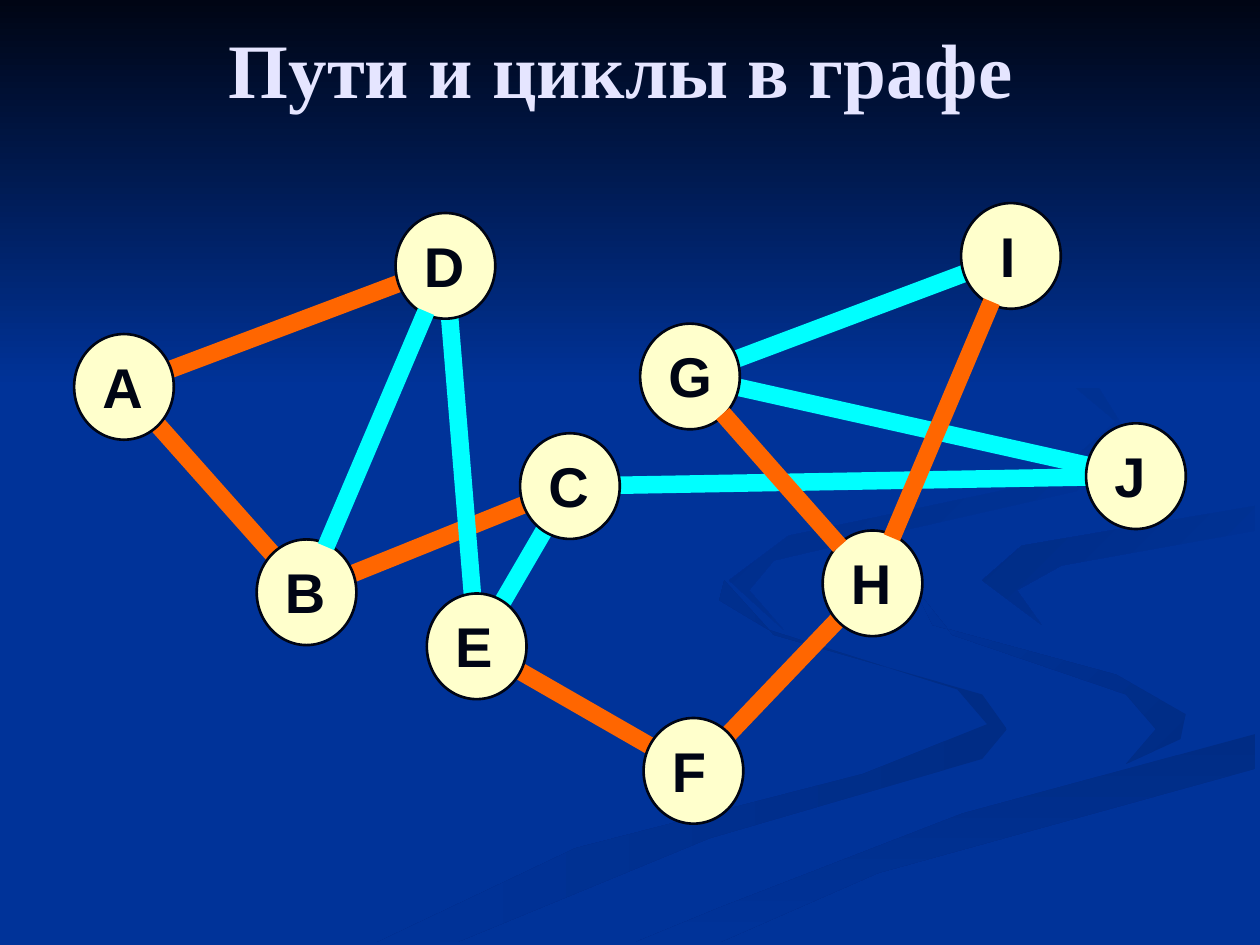
from math import dist

from lxml import etree
from pptx import Presentation
from pptx.dml.color import RGBColor
from pptx.enum.shapes import MSO_CONNECTOR, MSO_SHAPE
from pptx.enum.text import MSO_ANCHOR, PP_ALIGN
from pptx.oxml.ns import qn
from pptx.util import Cm, Pt

STRAIGHT = MSO_CONNECTOR.STRAIGHT
OVAL = MSO_SHAPE.OVAL
RECTANGLE = MSO_SHAPE.RECTANGLE
MIDDLE = MSO_ANCHOR.MIDDLE
TOP = MSO_ANCHOR.TOP
CENTER = PP_ALIGN.CENTER
LEFT = PP_ALIGN.LEFT

COLORS = {
    "background": "003399",
    "shade": "002C85",
    "night": "000514",
    "title": "E5E5FF",
    "node": "FFFFCC",
    "path": "FF6600",
    "other": "00FFFF",
}

NODE_WIDTH, NODE_HEIGHT = 2.01, 2.13

# Node centres in cm
NODES = {
    "A": (2.5, 7.8), "B": (6.18, 11.94), "D": (8.98, 5.36),
    "C": (11.49, 9.8), "E": (9.61, 13.03), "G": (13.91, 7.59),
    "H": (17.59, 11.76), "I": (20.38, 5.16), "J": (22.9, 9.6),
    "F": (13.98, 15.54),
}

# Edges as node pairs, by colour
EDGES_BEHIND = {"path": "AD AB FH EF BC", "other": "GI CJ DE CE GJ"}
EDGES_IN_FRONT = {"other": "BD", "path": "GH HI"}

# Background swirls: first colour, last colour, angle, outline in mm
SWIRLS = [
    ("shade", "background", 180, [
        (198, 140), (156, 128), (146, 117), (145, 121), (155, 127),
        (193, 139), (199, 146), (174, 156), (116, 171), (76, 190),
        (92, 190), (143, 169), (198, 153), (203, 147)]),
    ("shade", "background", 225, [
        (239, 144), (225, 136), (188, 126), (184, 118), (192, 128),
        (227, 140), (233, 147), (227, 154), (238, 149)]),
    ("shade", "background", 90, [
        (128, 190), (145, 190), (177, 176), (253, 155), (253, 148),
        (194, 164), (145, 183)]),
    ("background", "shade", 225, [
        (198, 117), (210, 126), (205, 119), (214, 114), (253, 107),
        (253, 102), (206, 110)]),
    ("background", "shade", 225, [
        (173, 109), (217, 99), (227, 87), (217, 71), (194, 59),
        (225, 85), (211, 97), (159, 108), (147, 117), (158, 127),
        (151, 119), (156, 113)]),
]


def rgb(name):
    return RGBColor.from_string(COLORS[name])


def fill_gradient(shape, first, last, clockwise_angle):
    shape.shadow.inherit = False
    shape.line.fill.background()
    shape.fill.gradient()
    shape.fill.gradient_angle = 360 - clockwise_angle
    for stop, color in zip(shape.fill.gradient_stops, (first, last)):
        stop.color.rgb = rgb(color)


def add_swirl(slide, first, last, angle, points):
    builder = slide.shapes.build_freeform(*points[0], scale=Cm(0.1))
    builder.add_line_segments(points[1:], close=True)
    fill_gradient(builder.convert_to_shape(), first, last, angle)


def add_text(slide, text, box, size, font_name, color, alignment, anchor):
    text_box = slide.shapes.add_textbox(*(Cm(value) for value in box))
    text_frame = text_box.text_frame
    text_frame.word_wrap = True
    text_frame.vertical_anchor = anchor
    text_frame.text = text
    paragraph = text_frame.paragraphs[0]
    paragraph.alignment = alignment
    font = paragraph.runs[0].font
    font.name, font.size, font.bold = font_name, Pt(size), True
    font.color.rgb = rgb(color)
    return paragraph


def point_towards(start, end, distance):
    share = distance / dist(start, end)
    return [Cm(a + (b - a) * share) for a, b in zip(start, end)]


def add_edges(slide, edges, inset):
    for color, pairs in edges.items():
        for pair in pairs.split():
            start, end = (NODES[letter] for letter in pair)
            connector = slide.shapes.add_connector(
                STRAIGHT, *point_towards(start, end, inset),
                *point_towards(end, start, inset))
            connector.line.color.rgb = rgb(color)
            connector.line.width = Pt(10)
            etree.SubElement(connector._element.spPr, qn("a:effectLst"))


def add_node(slide, letter, center_x, center_y):
    left, top = center_x - NODE_WIDTH / 2, center_y - NODE_HEIGHT / 2
    node = slide.shapes.add_shape(
        OVAL, Cm(left), Cm(top), Cm(NODE_WIDTH), Cm(NODE_HEIGHT))
    node.shadow.inherit = False
    node.fill.solid()
    node.fill.fore_color.rgb = rgb("node")
    node.line.color.rgb = rgb("night")
    node.line.width = Pt(1.5)
    # The narrow letter I sits further right
    indent = 0.53 if letter == "I" else 0.32
    box = (left + indent, top + 0.24, NODE_WIDTH, 1.63)
    paragraph = add_text(slide, letter, box, 32, "Arial", "night", LEFT, TOP)
    paragraph.space_before = Pt(3.6)


def main():
    presentation = Presentation()
    presentation.slide_width, presentation.slide_height = Cm(25.4), Cm(19.05)
    slide = presentation.slides.add_slide(presentation.slide_layouts[6])

    # Background
    slide.background.fill.solid()
    slide.background.fill.fore_color.rgb = rgb("background")
    for swirl in SWIRLS:
        add_swirl(slide, *swirl)
    sky = slide.shapes.add_shape(RECTANGLE, 0, 0, Cm(25.4), Cm(7.82))
    fill_gradient(sky, "night", "background", 90)

    # Title
    add_text(slide, "Пути и циклы в графе", (1.09, 0, 22.86, 2.72), 44,
             "Times New Roman", "title", CENTER, MIDDLE)

    # Graph: front edges reach only to the rims of their nodes
    add_edges(slide, EDGES_BEHIND, 0.3)
    for letter, center in NODES.items():
        add_node(slide, letter, *center)
    add_edges(slide, EDGES_IN_FRONT, 1)

    presentation.save("out.pptx")


if __name__ == "__main__":
    main()
